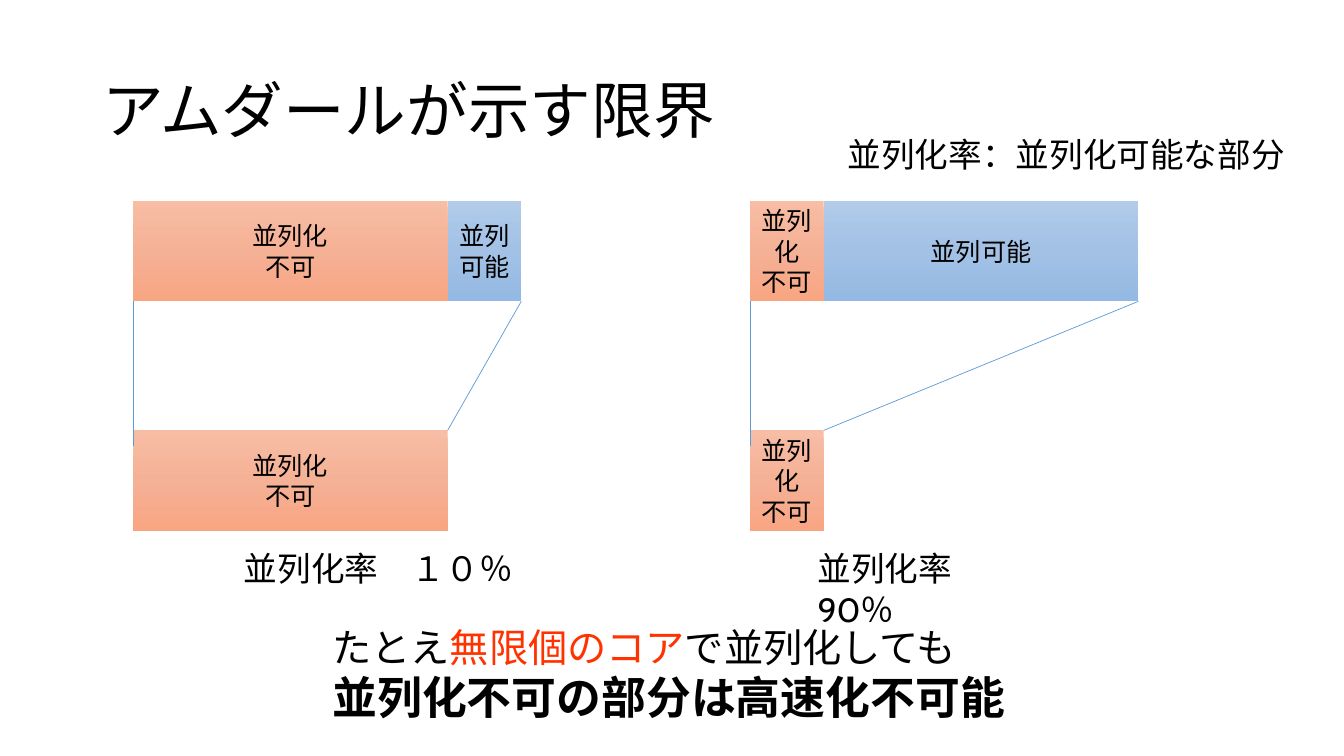
from copy import deepcopy

from pptx import Presentation
from pptx import util as u
from pptx.dml.color import RGBColor
from pptx.enum import shapes, text
from pptx.oxml.ns import qn
from lxml import etree

COLORS = {
    "ink": "000000",
    "alert": "FF3300",
    "guide": "5B9BD5",
    "serial": ["F7BDA5", "F5B196", "F8A582"],
    "parallel": ["B1CBE9", "A3C1E5", "93B9E4"],
}
FONT = "Cabin"
LONG, SHORT, HEIGHT = 3.12, 0.73, 1
TOP_ROW, BOTTOM_ROW = 1.99, 4.27
SERIAL_LINES = ["並列化", "不可"]


def fill_text(frame, lines, size, align):
    frame.word_wrap = True
    for number, line in enumerate(lines):
        para = frame.paragraphs[0] if number == 0 else frame.add_paragraph()
        para.alignment = align
        para.font.name, para.font.size = FONT, u.Pt(size)
        para.font.color.rgb = RGBColor.from_string(COLORS["ink"])
        para.add_run().text = line


def add_block(kind, left, top, width, lines):
    block = page.shapes.add_shape(shapes.MSO_SHAPE.RECTANGLE, u.Inches(left),
                                  u.Inches(top), u.Inches(width), u.Inches(HEIGHT))
    block.shadow.inherit = False
    block.line.fill.background()
    block.fill.gradient()
    block.fill.gradient_angle = 270
    first = block._element.spPr.find(".//" + qn("a:gs"))
    first.addnext(deepcopy(first))
    for stop, color, position in zip(block.fill.gradient_stops, COLORS[kind], (0, 0.5, 1)):
        stop.color.rgb = RGBColor.from_string(color)
        stop.position = position
    block.text_frame.vertical_anchor = text.MSO_ANCHOR.MIDDLE
    fill_text(block.text_frame, lines, 18, text.PP_ALIGN.CENTER)


deck = Presentation()
deck.slide_width, deck.slide_height = u.Inches(13.33), u.Inches(7.5)
page = deck.slides.add_slide(deck.slide_layouts[5])

# Title
title = page.shapes.title
title.left, title.top = u.Inches(0.92), u.Inches(0.4)
title.width, title.height = u.Inches(11.5), u.Inches(1.45)
title.text_frame.vertical_anchor = text.MSO_ANCHOR.MIDDLE
fill_text(title.text_frame, ["アムダールが示す限界"], 44, text.PP_ALIGN.LEFT)
title.text_frame.paragraphs[0].line_spacing = 0.9

# Bars before and after speed-up, with guides between them
for left, serial, parallel in [(1.32, LONG, SHORT), (7.44, SHORT, LONG)]:
    split, end = left + serial, left + serial + parallel
    add_block("serial", left, TOP_ROW, serial, SERIAL_LINES)
    add_block("parallel", split, TOP_ROW, parallel, ["並列可能"])
    add_block("serial", left, BOTTOM_ROW, serial, SERIAL_LINES)
    for start_x, end_x, end_y in [(end, split, BOTTOM_ROW), (left, left, BOTTOM_ROW + 0.15)]:
        guide = page.shapes.add_connector(
            shapes.MSO_CONNECTOR.STRAIGHT, u.Inches(start_x), u.Inches(TOP_ROW + HEIGHT),
            u.Inches(end_x), u.Inches(end_y))
        guide.line.color.rgb = RGBColor.from_string(COLORS["guide"])
        guide.line.width = u.Pt(0.5)
        etree.SubElement(guide._element.spPr, qn("a:effectLst"))

# Captions
for left, top, width, caption in [
    (8.01, 5.39, 2.59, "並列化率　90％"),
    (2.32, 5.39, 2.89, "並列化率　１０％"),
    (8.31, 1.28, 4.58, "並列化率：並列化可能な部分"),
]:
    box = page.shapes.add_textbox(u.Inches(left), u.Inches(top), u.Inches(width), u.Inches(0.5))
    fill_text(box.text_frame, [caption], 24, text.PP_ALIGN.LEFT)

# Conclusion
box = page.shapes.add_textbox(u.Inches(3.2), u.Inches(6.13), u.Inches(6.93), u.Inches(1.11))
fill_text(box.text_frame, ["たとえ", "並列化不可の部分は高速化不可能"], 28, text.PP_ALIGN.LEFT)
premise, verdict = box.text_frame.paragraphs
span = premise.add_run()
span.text = "無限個のコア"
span.font.color.rgb = RGBColor.from_string(COLORS["alert"])
premise.add_run().text = "で並列化しても"
verdict.font.size, verdict.font.bold = u.Pt(32), True

deck.save("out.pptx")
